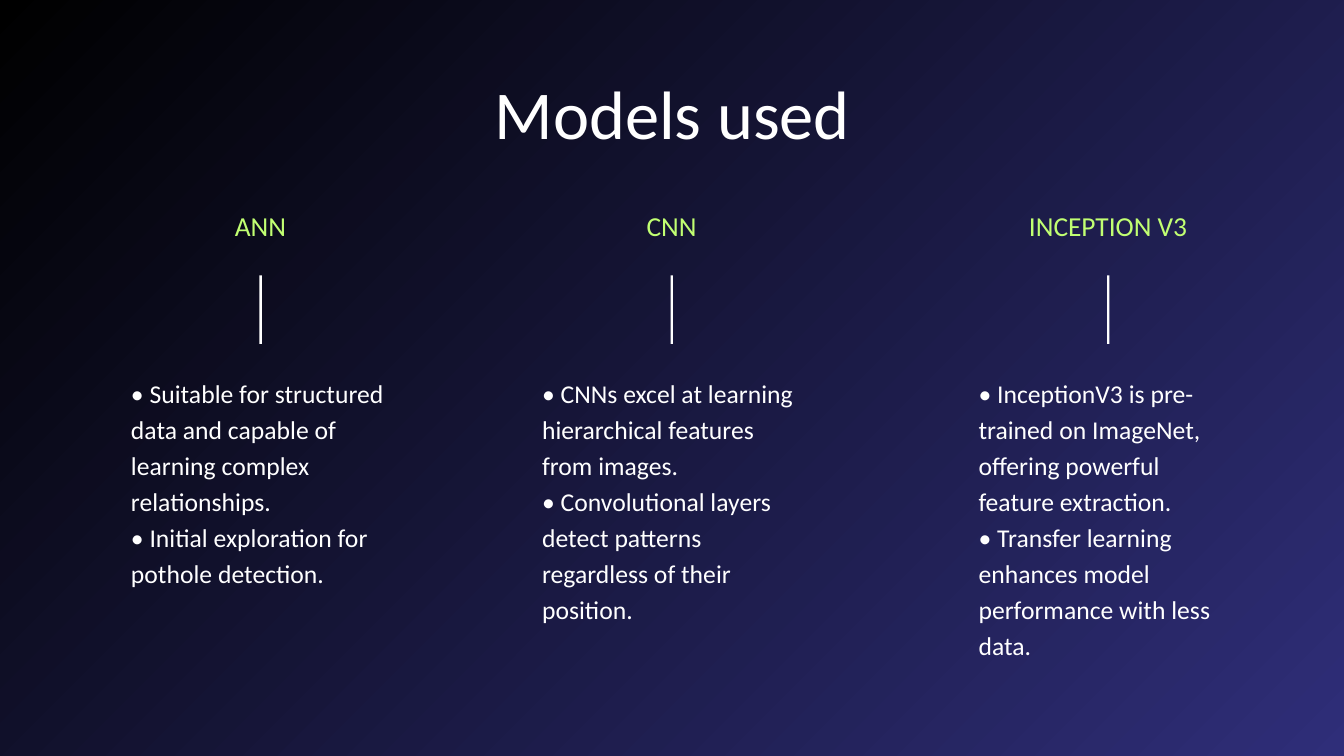
from dataclasses import dataclass

from pptx import Presentation
from pptx.dml.color import RGBColor
from pptx.enum.shapes import MSO_SHAPE as Preset
from pptx.enum.text import MSO_ANCHOR as Anchor, MSO_AUTO_SIZE as AutoSize, PP_ALIGN as Align
from pptx.oxml.ns import qn
from pptx.shapes.base import BaseShape
from pptx.slide import Slide
from pptx.util import Cm, Pt

COLOURS = {"white": "FFFFFF", "lime": "C1FF72", "black": "000000", "indigo": "2F2E79"}
FONT = "Calibri"


@dataclass
class ModelColumn:
    """One model with its heading, its points and its left edge in centimetres."""

    heading: str
    points: list[str]
    left: float
    list_height: float


COLUMNS = [
    ModelColumn("ANN", [
        "• Suitable for structured data and capable of learning complex relationships.",
        "• Initial exploration for pothole detection.",
    ], 2.54, 5.36),
    ModelColumn("CNN", [
        "• CNNs excel at learning hierarchical features from images.",
        "• Convolutional layers detect patterns regardless of their position.",
    ], 12.9, 7.14),
    ModelColumn("INCEPTION V3", [
        "• InceptionV3 is pre-trained on ImageNet, offering powerful feature extraction.",
        "• Transfer learning enhances model performance with less data.",
    ], 23.9, 8.94),
]


def colour(name: str) -> RGBColor:
    """Return the named colour."""
    return RGBColor.from_string(COLOURS[name])


def place(shape: BaseShape, left: float, top: float, width: float, height: float) -> None:
    """Move and size a shape, in centimetres."""
    shape.left, shape.top = Cm(left), Cm(top)
    shape.width, shape.height = Cm(width), Cm(height)


def write(shape: BaseShape, lines: list[str], *, size: float, line_spacing: float,
          colour_name: str = "white", align: Align = Align.CENTER) -> None:
    """Fill a shape with plain paragraphs in one format."""
    frame = shape.text_frame
    frame.word_wrap = True
    frame.auto_size = AutoSize.NONE
    frame.vertical_anchor = Anchor.TOP
    frame.margin_left = frame.margin_top = frame.margin_right = frame.margin_bottom = 0
    frame.text = "\n".join(lines)
    for paragraph in frame.paragraphs:
        properties = paragraph._p.get_or_add_pPr()
        properties.set("marL", "0")
        properties.set("indent", "0")
        properties.append(properties.makeelement(qn("a:buNone"), {}))
        paragraph.alignment = align
        paragraph.line_spacing = Pt(line_spacing)
        paragraph.space_before = paragraph.space_after = Pt(0)
        for run in paragraph.runs:
            run.font.name = FONT
            run.font.size = Pt(size)
            run.font.bold = False
            run.font.color.rgb = colour(colour_name)


def paint_background(slide: Slide) -> None:
    """Give the slide its diagonal gradient."""
    fill = slide.background.fill
    fill.gradient()
    fill.gradient_angle = 315
    for stop, name, position in zip(fill.gradient_stops, ("black", "indigo"), (0, 1)):
        stop.color.rgb = colour(name)
        stop.position = position


def draw_column(slide: Slide, column: ModelColumn, body: BaseShape) -> None:
    """Draw the heading, the vertical rule and the list of one model."""
    heading = slide.shapes.add_textbox(Cm(column.left), Cm(5.26), Cm(8.05), Cm(0.84))
    write(heading, [column.heading], size=19.6, line_spacing=23.5, colour_name="lime")
    rule = slide.shapes.add_shape(
        Preset.RECTANGLE, Cm(column.left + 4), Cm(6.94), Cm(0.06), Cm(1.73))
    rule.shadow.inherit = False
    rule.fill.solid()
    rule.fill.fore_color.rgb = colour("white")
    rule.line.fill.background()
    place(body, column.left + 0.76, 9.4, 6.55, column.list_height)
    write(body, column.points, size=18.3, line_spacing=25.7, align=Align.LEFT)


def main() -> None:
    """Build and save the slide."""
    presentation = Presentation()
    presentation.slide_width, presentation.slide_height = Cm(33.87), Cm(19.05)
    slide = presentation.slides.add_slide(presentation.slide_layouts.get_by_name("Comparison"))
    paint_background(slide)
    title, *bodies = slide.placeholders
    place(title, 6.58, 2.18, 20.73, 1.75)
    write(title, ["Models used"], size=48.9, line_spacing=47.9)
    for column, body in zip(COLUMNS, bodies):
        draw_column(slide, column, body)
    for spare in bodies[len(COLUMNS):]:
        spare.element.getparent().remove(spare.element)
    presentation.save("out.pptx")


if __name__ == "__main__":
    main()
